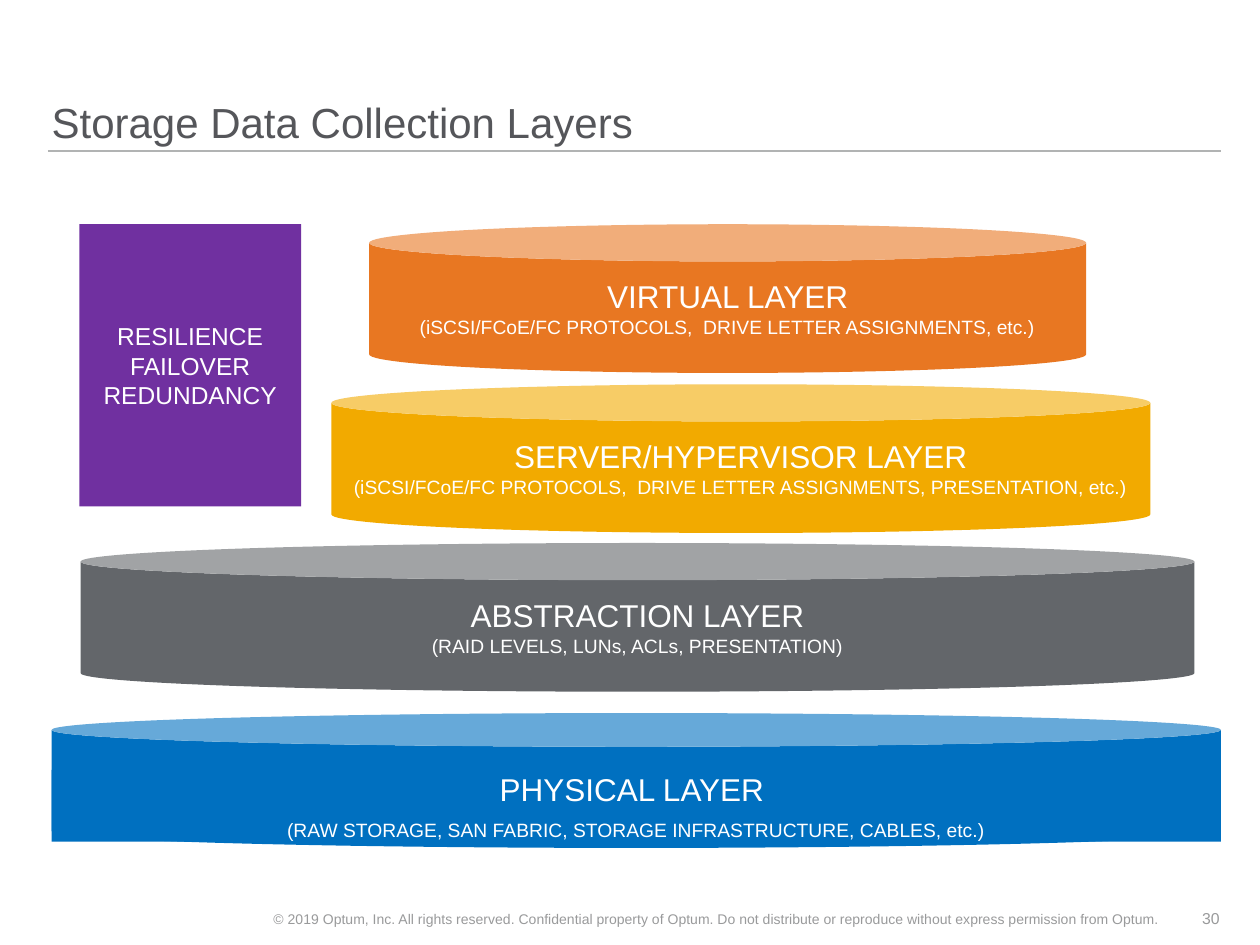
from dataclasses import dataclass

from lxml import etree
from pptx import Presentation
from pptx.dml.color import RGBColor
from pptx.enum.shapes import MSO_CONNECTOR, MSO_SHAPE
from pptx.enum.text import MSO_ANCHOR, PP_ALIGN
from pptx.oxml.ns import qn
from pptx.shapes.autoshape import Shape
from pptx.util import Inches, Pt

CAN, RECT = MSO_SHAPE.CAN, MSO_SHAPE.RECTANGLE
STRAIGHT = MSO_CONNECTOR.STRAIGHT
TOP, MIDDLE, BOTTOM = MSO_ANCHOR.TOP, MSO_ANCHOR.MIDDLE, MSO_ANCHOR.BOTTOM
LEFT, CENTER, RIGHT = PP_ALIGN.LEFT, PP_ALIGN.CENTER, PP_ALIGN.RIGHT

FONT = "Arial"
COLORS = {
    "title": "55565A",
    "rule": "B1B3B3",
    "footer": "999A9B",
    "white": "FFFFFF",
    "blue": "0070C0",
    "gold": "F2AA00",
    "gray": "63666A",
    "orange": "E87722",
    "purple": "7030A0",
}


@dataclass
class Box:
    left: float
    top: float
    width: float
    height: float

    def lengths(self) -> list:
        return [Inches(n) for n in (self.left, self.top, self.width, self.height)]


@dataclass
class Line:
    text: str
    size: float


@dataclass
class Label:
    box: Box
    line: Line
    color: str
    anchor: MSO_ANCHOR
    align: PP_ALIGN
    spacing: float = 1.0


@dataclass
class Block:
    kind: MSO_SHAPE
    box: Box
    fill: str
    lines: list[Line]


def color(name: str) -> RGBColor:
    return RGBColor.from_string(COLORS[name])


def write(shape: Shape, lines: list[Line], ink: str, anchor: MSO_ANCHOR,
          align: PP_ALIGN, spacing: float = 1.0, gap: float = 0) -> None:
    frame = shape.text_frame
    frame.word_wrap = True
    frame.vertical_anchor = anchor
    for i, line in enumerate(lines):
        para = frame.add_paragraph() if i else frame.paragraphs[0]
        para.alignment = align
        para.line_spacing = spacing
        if i:
            para.space_before = Pt(gap)
        run = para.add_run()
        run.text = line.text
        run.font.name = FONT
        run.font.size = Pt(line.size)
        run.font.color.rgb = color(ink)


def trim(shape: Shape) -> None:
    frame = shape.text_frame
    frame.margin_left = frame.margin_right = Inches(0)
    frame.margin_top = frame.margin_bottom = Inches(0)


def draw_shape(shapes, kind: MSO_SHAPE, box: Box, fill: str) -> Shape:
    shape = shapes.add_shape(kind, *box.lengths())
    shape.shadow.inherit = False
    shape.fill.solid()
    shape.fill.fore_color.rgb = color(fill)
    shape.line.fill.background()
    return shape


def draw_block(shapes, block: Block) -> None:
    shape = draw_shape(shapes, block.kind, block.box, block.fill)
    write(shape, block.lines, "white", MIDDLE, CENTER)


def draw_label(shapes, label: Label) -> None:
    shape = shapes.add_textbox(*label.box.lengths())
    trim(shape)
    write(shape, [label.line], label.color, label.anchor, label.align, label.spacing)


def draw_rule(shapes, left: float, right: float, top: float) -> None:
    rule = shapes.add_connector(STRAIGHT, Inches(left), Inches(top), Inches(right), Inches(top))
    rule.line.color.rgb = color("rule")
    rule.line.width = Pt(1)
    etree.SubElement(rule._element.spPr, qn("a:effectLst"))


def draw_base(shapes) -> None:
    group = shapes.add_group_shape()
    draw_shape(group.shapes, CAN, Box(0.41, 5.66, 9.28, 1.07), "blue")
    band = draw_shape(group.shapes, RECT, Box(0.41, 6.11, 9.28, 0.57), "blue")
    trim(band)
    lines = [
        Line("PHYSICAL LAYER ", 18),
        Line("(RAW STORAGE, SAN FABRIC, STORAGE INFRASTRUCTURE, CABLES, etc.)", 11),
    ]
    write(band, lines, "white", TOP, CENTER, gap=6)


LABELS = [
    Label(Box(0.41, 0, 9.28, 1.17), Line("Storage Data Collection Layers", 24),
          "title", BOTTOM, LEFT, 0.9),
    Label(Box(2.07, 7.09, 7.14, 0.4),
          Line("© 2019 Optum, Inc. All rights reserved. Confidential property of Optum. "
               "Do not distribute or reproduce without express permission from Optum.", 8),
          "footer", MIDDLE, RIGHT),
    Label(Box(9.24, 7.09, 0.44, 0.4), Line("30", 9), "footer", MIDDLE, RIGHT),
]

BLOCKS = [
    Block(CAN, Box(2.63, 3.05, 6.5, 1.18), "gold", [
        Line("SERVER/HYPERVISOR LAYER", 18),
        Line("(iSCSI/FCoE/FC PROTOCOLS,  DRIVE LETTER ASSIGNMENTS, PRESENTATION, etc.)", 11),
    ]),
    Block(CAN, Box(0.64, 4.31, 8.84, 1.18), "gray", [
        Line("ABSTRACTION LAYER", 18),
        Line("(RAID LEVELS, LUNs, ACLs, PRESENTATION)", 11),
    ]),
    Block(CAN, Box(2.93, 1.78, 5.69, 1.18), "orange", [
        Line("VIRTUAL LAYER", 18),
        Line("(iSCSI/FCoE/FC PROTOCOLS,  DRIVE LETTER ASSIGNMENTS, etc.)", 11),
    ]),
    Block(RECT, Box(0.63, 1.78, 1.76, 2.24), "purple",
          [Line(word, 14) for word in ("RESILIENCE", "FAILOVER", "REDUNDANCY")]),
]


def main() -> None:
    deck = Presentation()
    deck.slide_width, deck.slide_height = Inches(10), Inches(7.5)
    shapes = deck.slides.add_slide(deck.slide_layouts[6]).shapes
    draw_rule(shapes, 0.38, 9.69, 1.2)
    for label in LABELS:
        draw_label(shapes, label)
    draw_base(shapes)
    for block in BLOCKS:
        draw_block(shapes, block)
    deck.save("out.pptx")


if __name__ == "__main__":
    main()
